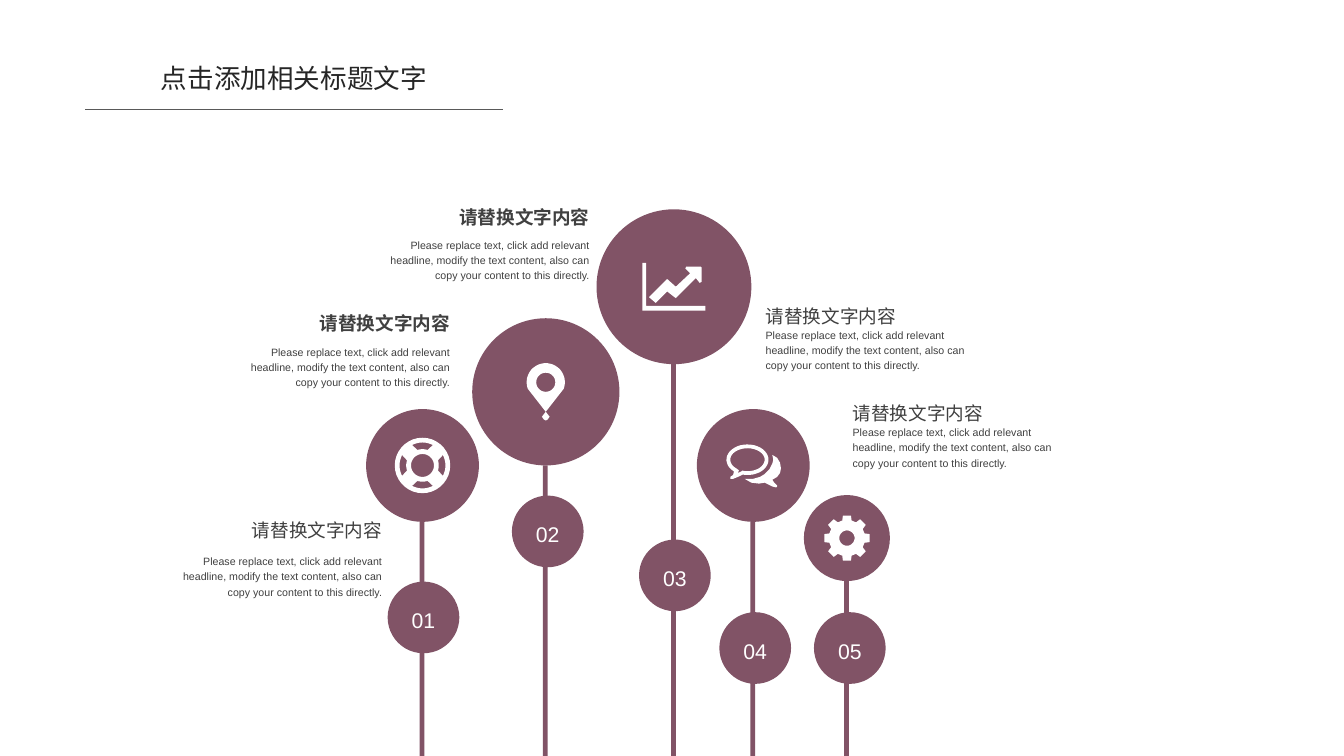
from math import cos, radians, sin

from pptx import Presentation
from pptx import util as u
from pptx.dml import color
from pptx.enum import shapes, text
from pptx.oxml import ns
from pptx.oxml import parse_xml

WIDTH, HEIGHT = 14.06, 7.91
PLUM, WHITE, INK, GREY, RULE = "815366", "FFFFFF", "262626", "404040", "595959"
HEADING = "请替换文字内容"
BODY = ("Please replace text, click add relevant headline, modify the text "
        "content, also can copy your content to this directly.")
LEFT, CENTER, RIGHT = text.PP_ALIGN.LEFT, text.PP_ALIGN.CENTER, text.PP_ALIGN.RIGHT
TOP, MIDDLE = text.MSO_ANCHOR.TOP, text.MSO_ANCHOR.MIDDLE


def rgb(value):
    """Turn a hex string into a colour."""
    return color.RGBColor.from_string(value)


def paint(shape, fill):
    """Give a shape a flat fill with no line or shadow."""
    shape.shadow.inherit = False
    shape.fill.solid()
    shape.fill.fore_color.rgb = rgb(fill)
    shape.line.fill.background()


def write(shape, words, size, ink, align, anchor, bold=False, spacing=1.2):
    """Write one paragraph into a shape without margins."""
    frame = shape.text_frame
    frame.margin_left = frame.margin_right = frame.margin_top = frame.margin_bottom = 0
    frame.vertical_anchor = anchor
    para = frame.paragraphs[0]
    para.alignment = align
    para.line_spacing = spacing
    span = para.add_run()
    span.text = words
    span.font.size = u.Pt(size)
    span.font.name = "Arial"
    span.font.bold = bold
    span.font.color.rgb = rgb(ink)


def label(page, left, top, width, height, wrap, *style, **options):
    """Add a text box that grows with its text."""
    box = page.shapes.add_textbox(*map(u.Inches, (left, top, width, height)))
    write(box, *style, **options)
    box.text_frame.word_wrap = wrap
    box.text_frame.auto_size = text.MSO_AUTO_SIZE.SHAPE_TO_FIT_TEXT


def disc(page, x, y, radius):
    """Add a plum circle around a centre."""
    shape = page.shapes.add_shape(
        shapes.MSO_SHAPE.OVAL, u.Inches(x - radius), u.Inches(y - radius),
        u.Inches(2 * radius), u.Inches(2 * radius))
    paint(shape, PLUM)
    return shape


def arc(x, y, rx, ry, start=0, end=360, steps=36):
    """List points along an elliptical arc, clockwise in degrees."""
    angles = [radians(start + (end - start) * i / steps) for i in range(steps + 1)]
    return [(x + rx * cos(a), y + ry * sin(a)) for a in angles]


def ring(radius, start=0, end=360, steps=36):
    """List points along a circular arc about the icon's centre."""
    return arc(0, 0, radius, radius, start, end, steps)


def lifebuoy():
    """Outline a lifebuoy with four slots."""
    slots = [ring(0.24, a - 27, a + 27, 10) + ring(0.17, a + 18, a - 18, 10)
             for a in range(0, 360, 90)]
    return [ring(0.29), ring(0.12), *slots]


def pin():
    """Outline a map pin."""
    tip = [(-0.04, 0.26), (-0.02, 0.29), (0, 0.3), (0.02, 0.29), (0.04, 0.26)]
    return [arc(0, -0.1, 0.2, 0.2, 160, 380) + tip, arc(0, -0.1, 0.1, 0.1)]


def trend():
    """Outline a pair of axes with a rising arrow."""
    axes = [(-0.33, -0.25), (-0.29, -0.25), (-0.29, 0.2), (0.33, 0.2),
            (0.33, 0.25), (-0.33, 0.25)]
    arrow = [(-0.26, 0.11), (-0.07, -0.08), (0.02, 0), (0.17, -0.14), (0.12, -0.19),
             (0.13, -0.21), (0.28, -0.21), (0.29, -0.2), (0.29, -0.05),
             (0.27, -0.04), (0.23, -0.09), (0.02, 0.12), (-0.07, 0.05),
             (-0.19, 0.17)]
    return [axes, arrow]


def chat():
    """Outline two speech bubbles."""
    tail = [(-0.16, 0.12), (-0.21, 0.14), (-0.24, 0.14), (-0.24, 0.12), (-0.21, 0.1)]
    notch = [(-0.15, 0.05), (-0.16, 0.08), (-0.12, 0.06)]
    inner = arc(-0.06, -0.06, 0.18, 0.12, 108, -228) + notch
    back = [(0.2, -0.11), (0.25, -0.08), (0.28, -0.03), (0.29, 0.03), (0.28, 0.08),
            (0.25, 0.12), (0.2, 0.15), (0.22, 0.18), (0.25, 0.21), (0.25, 0.22),
            (0.24, 0.23), (0.2, 0.22), (0.12, 0.18), (0.06, 0.19), (-0.02, 0.18),
            (-0.09, 0.14), (0, 0.14), (0.07, 0.12), (0.12, 0.09), (0.17, 0.04),
            (0.2, -0.02), (0.21, -0.06)]
    return [arc(-0.06, -0.06, 0.22, 0.16, 130, 463) + tail, inner, back]


def gear():
    """Outline a gear with eight teeth."""
    tooth = ((-15, 0.19), (-10, 0.24), (10, 0.24), (15, 0.19))
    rim = [(r * cos(radians(a + turn)), r * sin(radians(a + turn)))
           for turn in range(0, 360, 45) for a, r in tooth]
    return [rim, ring(0.08)]


def draw_icon(page, x, y, outlines):
    """Draw white outlines around a centre, inner ones as holes."""
    points = [[((x + dx) * 1000, (y + dy) * 1000) for dx, dy in outline]
              for outline in outlines]
    pen = page.shapes.build_freeform(*points[0][0], scale=u.Inches(1) / 1000)
    for i, outline in enumerate(points):
        if i:
            pen.move_to(*outline[0])
        pen.add_line_segments(outline[1:], close=True)
    paint(pen.convert_to_shape(), WHITE)


def draw_tree(page, x, y, radius, badge_x, badge_y, number, outlines):
    """Draw a stem down to the slide's edge with its crown and number."""
    top = y + radius
    stem = page.shapes.add_shape(
        shapes.MSO_SHAPE.RECTANGLE, u.Inches(x - 0.03), u.Inches(top),
        u.Inches(0.05), u.Inches(HEIGHT - top))
    paint(stem, PLUM)
    badge = disc(page, badge_x, badge_y, 0.375)
    write(badge, number, 16, WHITE, CENTER, MIDDLE)
    disc(page, x, y, radius)
    draw_icon(page, x, y, outlines)


def draw_caption(page, edge, top, gap, align, bold):
    """Place a heading and its text against a left or right edge."""
    anchor = MIDDLE if align == RIGHT else TOP
    for words, size, y, width, height, wrap, heavy in (
            (HEADING, 14, top, 1.37, 0.26, False, bold),
            (BODY, 8, top + gap, 2.3, 0.48, True, False)):
        left = edge - width if align == RIGHT else edge
        label(page, left, y, width, height, wrap, words, size, GREY, align,
              anchor, bold=heavy)


def draw_title(page, left, top, width):
    """Place the title above its rule."""
    label(page, left + 0.51, top, 3.35, 0.34, True, "点击添加相关标题文字", 20,
          INK, CENTER, TOP, spacing=1.0)
    y = u.Inches(top + 0.49)
    rule = page.shapes.add_connector(
        shapes.MSO_CONNECTOR.STRAIGHT, u.Inches(left), y, u.Inches(left + width), y)
    rule.line.color.rgb = rgb(RULE)
    rule.line.width = u.Pt(0.5)
    rule._element.spPr.append(parse_xml(f"<a:effectLst {ns.nsdecls('a')}/>"))


def main():
    """Build and save the slide."""
    deck = Presentation()
    deck.slide_width, deck.slide_height = u.Inches(WIDTH), u.Inches(HEIGHT)
    page = deck.slides.add_slide(deck.slide_layouts[6])
    for tree in (
            (4.42, 4.87, 0.59, 4.43, 6.46, "01", lifebuoy()),
            (5.71, 4.1, 0.77, 5.73, 5.56, "02", pin()),
            (7.05, 3, 0.81, 7.06, 6.02, "03", trend()),
            (7.88, 4.87, 0.59, 7.9, 6.78, "04", chat()),
            (8.86, 5.63, 0.45, 8.89, 6.78, "05", gear())):
        draw_tree(page, *tree)
    for caption in (
            (4, 5.39, 0.39, RIGHT, False),
            (4.71, 3.23, 0.36, RIGHT, True),
            (6.17, 2.12, 0.35, RIGHT, True),
            (8.01, 3.14, 0.27, LEFT, False),
            (8.92, 4.16, 0.27, LEFT, False)):
        draw_caption(page, *caption)
    draw_title(page, 0.89, 0.65, 4.37)
    deck.save("out.pptx")


if __name__ == "__main__":
    main()
